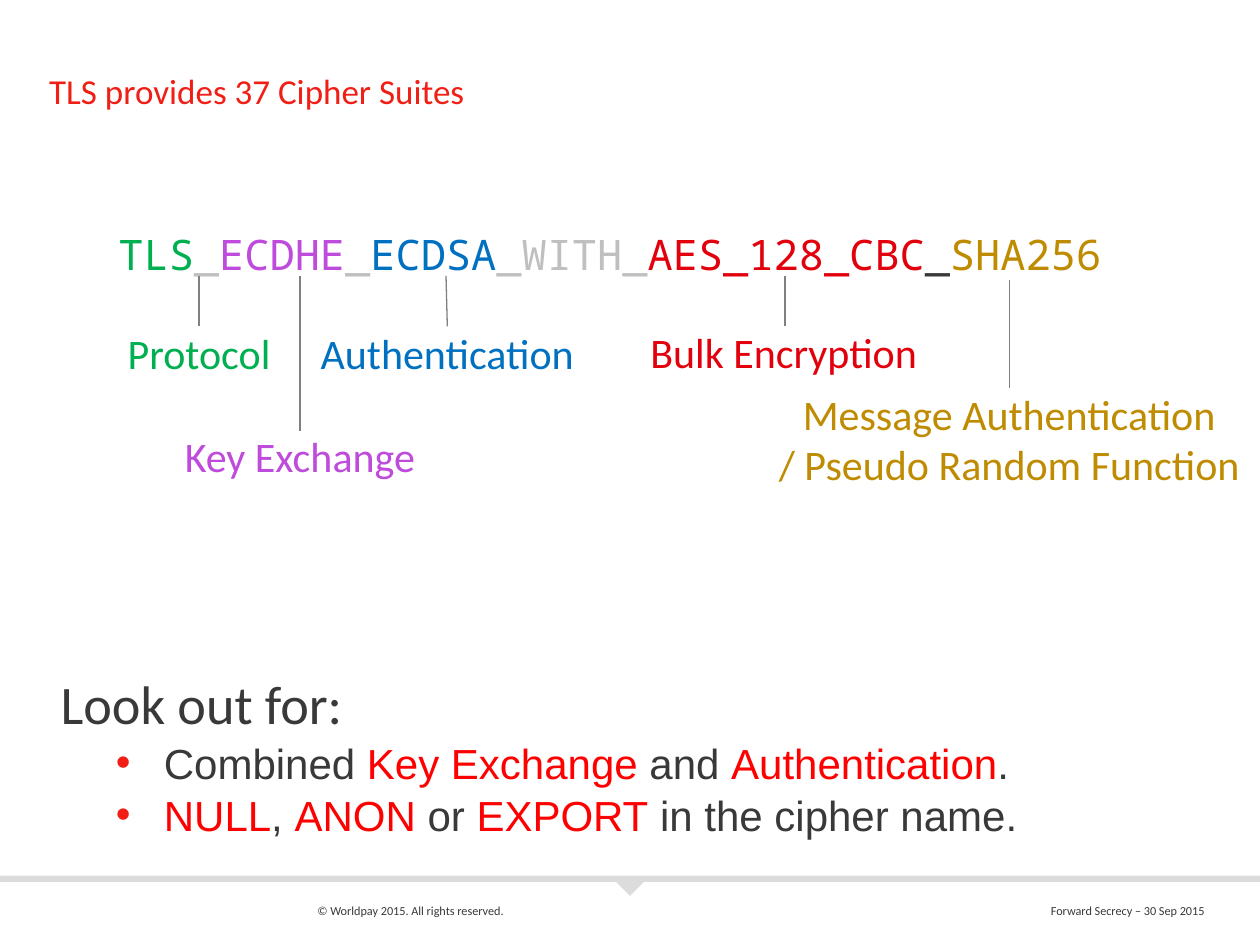
from dataclasses import dataclass
from typing import Any

import pptx
import pptx.dml.color
import pptx.enum.shapes
import pptx.enum.text
import pptx.oxml
import pptx.oxml.ns
import pptx.util

PX = 9144  # EMU per px, 100 px to the inch
ALIGN = pptx.enum.text.PP_ALIGN
ANCHOR = pptx.enum.text.MSO_ANCHOR
SHAPE = pptx.enum.shapes.MSO_SHAPE

DARK, RED, ALERT = "393939", "F01E14", "FF0000"
BAND, LEADER, MUTED = "DCDCDC", "808080", "BFBFBF"
GREEN, PURPLE, BLUE, CRIMSON, GOLD = "00B050", "BE4BDB", "0070C0", "E2000D", "BF8B00"
INSETS = (9, 4)
Parts = list[tuple[str, str]]  # text and colour of each run


@dataclass
class Label:
    lines: list[str]
    color: str
    left: int
    top: int
    width: int
    height: int = 40


@dataclass
class Leader:
    x: int
    top: int
    bottom: int
    shift: int = 0


CIPHER: Parts = [
    ("TLS", GREEN), ("_", MUTED), ("ECDHE", PURPLE), ("_", MUTED), ("ECDSA", BLUE),
    ("_WITH_", MUTED), ("AES_128_CBC", CRIMSON), ("_", DARK), ("SHA256", GOLD),
]
LABELS = [
    Label(["Protocol"], GREEN, 90, 260, 136),
    Label(["Key Exchange"], PURPLE, 134, 342, 208),
    Label(["Bulk Encryption"], CRIMSON, 507, 259, 230),
    Label(["Message Authentication", "/ Pseudo Random Function"], GOLD, 603, 308, 396, 81),
    Label(["Authentication"], BLUE, 240, 260, 230),
]
LEADERS = [
    Leader(801, 222, 308),
    Leader(623, 219, 259),
    Leader(354, 219, 259, 1),
    Leader(238, 219, 342),
    Leader(158, 219, 259),
]
WARNINGS: list[Parts] = [
    [("Combined ", DARK), ("Key Exchange ", ALERT), ("and ", DARK),
     ("Authentication", ALERT), (".", DARK)],
    [("NULL", ALERT), (", ", DARK), ("ANON", ALERT), (" or ", DARK),
     ("EXPORT", ALERT), (" in the cipher name.", DARK)],
]


def rgb(color: str) -> pptx.dml.color.RGBColor:
    return pptx.dml.color.RGBColor.from_string(color)


def px(*lengths: int) -> list[int]:
    return [length * PX for length in lengths]


def prepare_frame(frame: Any, insets: tuple[int, int] = (0, 0)) -> None:
    frame.word_wrap = True
    frame.auto_size = pptx.enum.text.MSO_AUTO_SIZE.NONE
    frame.margin_left = frame.margin_right = insets[0] * PX
    frame.margin_top = frame.margin_bottom = insets[1] * PX


def write_runs(para: Any, parts: Parts, size: int, font: str = "Calibri",
               align: Any = ALIGN.LEFT) -> None:
    para.alignment = align
    for text, color in parts:
        span = para.add_run()
        span.text = text
        span.font.size = pptx.util.Pt(size)
        span.font.name = font
        span.font.color.rgb = rgb(color)


def add_text(shapes: Any, place: tuple[int, int, int, int], lines: list[Parts], size: int,
             font: str = "Calibri", align: Any = ALIGN.LEFT,
             insets: tuple[int, int] = (0, 0)) -> Any:
    frame = shapes.add_textbox(*px(*place)).text_frame
    prepare_frame(frame, insets)
    for index, parts in enumerate(lines):
        para = frame.add_paragraph() if index else frame.paragraphs[0]
        write_runs(para, parts, size, font, align)
    return frame


def add_bullet(para: Any) -> None:
    properties = para._p.get_or_add_pPr()
    properties.set("marL", str(82 * PX))
    properties.set("indent", str(-38 * PX))
    namespace = pptx.oxml.ns.nsdecls("a")
    for xml in (f'<a:buClr {namespace}><a:srgbClr val="{RED}"/></a:buClr>',
                f'<a:buFont {namespace} typeface="Arial"/>',
                f'<a:buChar {namespace} char="•"/>'):
        properties.append(pptx.oxml.parse_xml(xml))


def add_footer_shape(page: Any, kind: Any, place: tuple[int, int, int, int]) -> Any:
    shape = page.shapes.add_shape(kind, *px(*place))
    shape.shadow.inherit = False
    shape.fill.solid()
    shape.fill.fore_color.rgb = rgb(BAND)
    shape.line.fill.background()
    return shape


def add_leader(shapes: Any, leader: Leader) -> None:
    line = shapes.add_connector(
        pptx.enum.shapes.MSO_CONNECTOR.STRAIGHT,
        *px(leader.x + leader.shift, leader.bottom, leader.x, leader.top))
    line.line.color.rgb = rgb(LEADER)
    line.line.width = pptx.util.Pt(0.75)
    effects = f'<a:effectLst {pptx.oxml.ns.nsdecls("a")}/>'
    line._element.spPr.append(pptx.oxml.parse_xml(effects))


def main() -> None:
    deck = pptx.Presentation()
    deck.slide_width, deck.slide_height = px(1000, 750)
    page = deck.slides.add_slide(deck.slide_layouts[5])

    # Title
    title = page.shapes.title
    title.left, title.top, title.width, title.height = px(39, 36, 925, 52)
    prepare_frame(title.text_frame)
    title.text_frame.vertical_anchor = ANCHOR.BOTTOM
    heading = title.text_frame.paragraphs[0]
    heading.line_spacing = 0.8
    write_runs(heading, [("TLS provides 37 Cipher Suites", RED)], 20)

    # Footer
    add_footer_shape(page, SHAPE.RECTANGLE, (0, 695, 1000, 5))
    add_footer_shape(page, SHAPE.ISOSCELES_TRIANGLE, (489, 700, 22, 11)).rotation = 180
    for left, text, align in (
            (243, "© Worldpay 2015. All rights reserved.", ALIGN.LEFT),
            (605, "Forward Secrecy – 30 Sep 2015", ALIGN.RIGHT)):
        add_text(page.shapes, (left, 713, 360, 21), [[(text, DARK)]], 7,
                 align=align, insets=INSETS)

    # Warnings
    body = add_text(page.shapes, (39, 528, 925, 143), [[("Look out for:", DARK)]], 31,
                    insets=INSETS)
    for parts in WARNINGS:
        para = body.add_paragraph()
        para.level = 1
        para.space_before = pptx.util.Pt(1)
        add_bullet(para)
        write_runs(para, parts, 24, "Arial")

    # Cipher suite name with its labelled parts
    diagram = page.shapes.add_group_shape().shapes
    add_text(diagram, (66, 181, 836, 40), [CIPHER], 24, "Noto Sans Mono", ALIGN.CENTER)
    for label in LABELS:
        add_text(diagram, (label.left, label.top, label.width, label.height),
                 [[(line, label.color)] for line in label.lines], 24, align=ALIGN.CENTER)
    for leader in LEADERS:
        add_leader(diagram, leader)

    deck.save("out.pptx")


if __name__ == "__main__":
    main()
